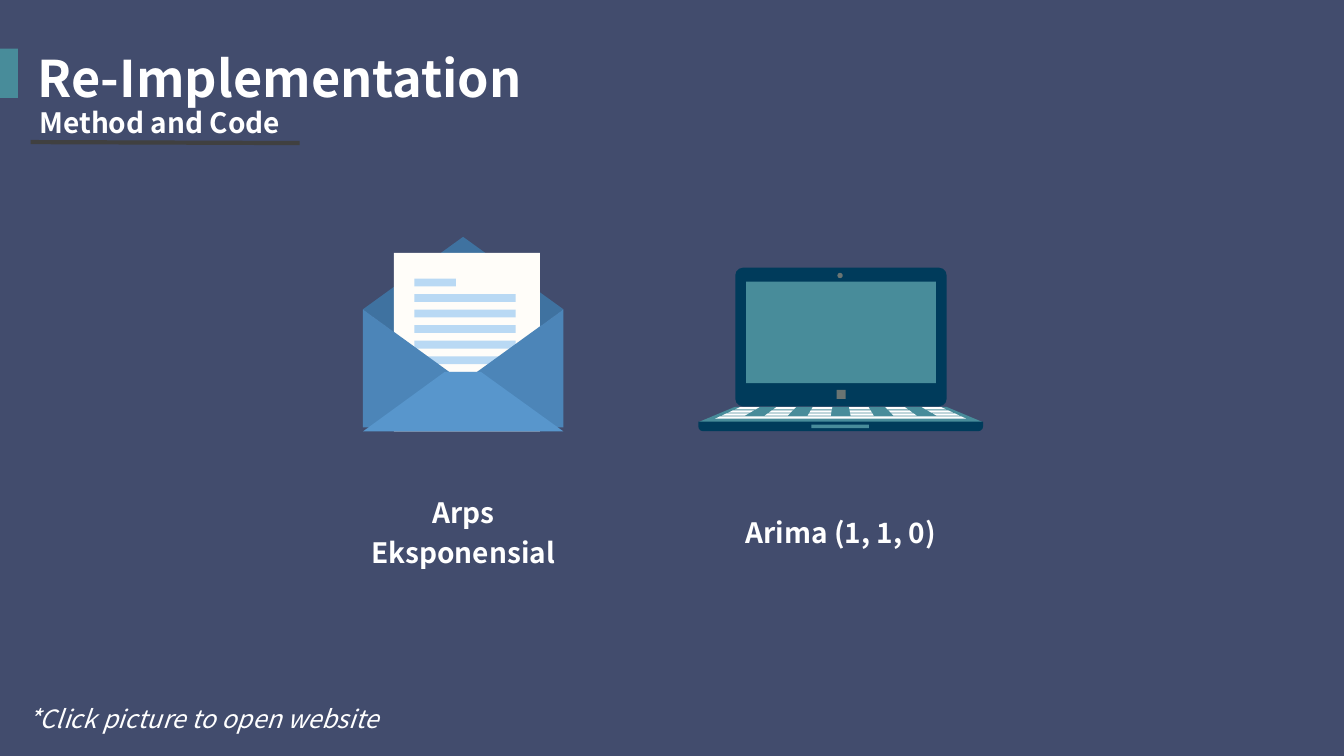
"""Builds the Re-Implementation slide with an envelope and a laptop."""
from lxml import etree
from pptx import Presentation
from pptx import util as u
from pptx.dml.color import RGBColor
from pptx.enum import shapes, text
from pptx.oxml.ns import qn

FONT = "Noto Sans CJK SC"
WHITE, TEAL, NAVY, GREY = "FFFFFF", "488C9A", "003B5B", "6A7472"
RECT = shapes.MSO_SHAPE.RECTANGLE


def colour(value):
    """Return the colour for a hex string."""
    return RGBColor.from_string(value)


def paint(shape, fill):
    """Give a shape a flat fill without line or shadow."""
    shape.shadow.inherit = False
    shape.fill.solid()
    shape.fill.fore_color.rgb = colour(fill)
    shape.line.fill.background()
    return shape


def add_block(page, left, top, width, height, fill, kind=RECT):
    """Add a filled preset shape."""
    return paint(page.shapes.add_shape(
        kind, u.Pt(left), u.Pt(top), u.Pt(width), u.Pt(height)), fill)


def add_polygon(page, points, fill):
    """Add a filled closed outline through the points."""
    corners = [(u.Pt(x), u.Pt(y)) for x, y in points]
    builder = page.shapes.build_freeform(*corners[0], scale=1.0)
    builder.add_line_segments(corners[1:], close=True)
    return paint(builder.convert_to_shape(), fill)


def add_text_box(page, left, top, width, height):
    """Add an empty text box."""
    return page.shapes.add_textbox(
        u.Pt(left), u.Pt(top), u.Pt(width), u.Pt(height))


def write(box, words, size, bold=True, italic=False, spacing=1.28,
          align=text.PP_ALIGN.LEFT, inset=None):
    """Write one white paragraph into a box."""
    frame = box.text_frame
    frame.word_wrap = True
    frame.auto_size = text.MSO_AUTO_SIZE.NONE
    frame.vertical_anchor = text.MSO_ANCHOR.TOP
    if inset is not None:
        frame.margin_left = frame.margin_right = u.Pt(inset)
        frame.margin_top = frame.margin_bottom = u.Pt(inset)
    para = frame.paragraphs[0]
    para.alignment = align
    para.line_spacing = u.Pt(size * spacing)
    para.space_before = u.Pt(0)
    span = para.add_run()
    span.text = words
    span.font.name = FONT
    span.font.size = u.Pt(size)
    span.font.bold = bold
    span.font.italic = italic
    span.font.color.rgb = colour(WHITE)


def add_caption(page, words, left, top, width, height):
    """Add a centred caption below an icon."""
    write(add_text_box(page, left, top, width, height), words, 20,
          spacing=1.45, align=text.PP_ALIGN.CENTER, inset=0)


def add_rule(page, x1, y1, x2, y2, line, width):
    """Add a plain straight line."""
    rule = page.shapes.add_connector(
        shapes.MSO_CONNECTOR.STRAIGHT, u.Pt(x1), u.Pt(y1), u.Pt(x2), u.Pt(y2))
    rule.line.color.rgb = colour(line)
    rule.line.width = u.Pt(width)
    etree.SubElement(rule._element.spPr, qn("a:effectLst"))


def draw_envelope(page):
    """Draw an open envelope holding a letter."""
    left, middle, right = 259.2, 330.8, 402.5
    shoulder, fold, bottom = 221, 272.9, 308.2
    add_polygon(page, [(right, shoulder), (middle, fold), (left, shoulder),
                       (middle, 169.2)], "3F72A0")
    add_block(page, 281.4, 180.7, 104.3, 127.5, "FFFDF9")
    for row in range(7):
        add_block(page, 296, 199 + 11.1 * row, 72.4 if row else 29.7, 5.6,
                  "B9D9F4")
    add_polygon(page, [(left, 305.3), (right, 305.3), (right, shoulder),
                       (middle, fold), (left, shoulder)], "4C85B8")
    add_polygon(page, [(left, bottom), (right, bottom), (343.6, 265.7),
                       (317.6, 265.7)], "5896CC")


def draw_key(page, start, end, top):
    """Draw one key in perspective; start and end are offsets at the hinge."""
    centre, hinge, height = 600.5, 290.9, 1.6
    bottom = top + height
    upper, lower = (1 + 0.03 * (y - hinge) for y in (top, bottom))
    add_polygon(page, [(centre + start * upper, top),
                       (centre + end * upper, top),
                       (centre + end * lower, bottom),
                       (centre + start * lower, bottom)], WHITE)


def draw_laptop(page):
    """Draw an open laptop with its keyboard."""
    lid = add_block(page, 525.2, 191.2, 151, 99, NAVY,
                    shapes.MSO_SHAPE.ROUNDED_RECTANGLE)
    lid.adjustments[0] = 0.055
    add_block(page, 533, 201.1, 135.5, 72.6, TEAL)
    add_block(page, 598.2, 194.9, 3.8, 3.8, GREY, shapes.MSO_SHAPE.OVAL)
    add_block(page, 597.6, 278.5, 6.4, 6.4, GREY)
    add_polygon(page, [(525, 290.6), (676, 290.6), (702.2, 301.6),
                       (498.8, 301.6)], TEAL)
    base = add_block(page, 498.8, 301.2, 203.4, 6.8, NAVY,
                     shapes.MSO_SHAPE.ROUND_2_SAME_RECTANGLE)
    base.adjustments[0] = 0
    base.adjustments[1] = 0.5
    add_block(page, 579.5, 303.3, 41.2, 2.6, TEAL)
    for row in range(3):
        for column in range(6):
            start = 26 * column - 72
            draw_key(page, start, start + 14, 290.9 + 2.2 * row)
    draw_key(page, -72, 72, 297.5)


def main():
    """Build and save the slide."""
    deck = Presentation()
    deck.slide_width, deck.slide_height = u.Pt(960), u.Pt(540)
    page = deck.slides.add_slide(deck.slide_layouts[5])
    page.background.fill.solid()
    page.background.fill.fore_color.rgb = colour("424C6D")

    add_block(page, 0, 34.8, 12.8, 35.2, TEAL)
    title = page.shapes.title
    title.left, title.top = u.Pt(19.5), u.Pt(27.4)
    title.width, title.height = u.Pt(399), u.Pt(51)
    write(title, "Re-Implementation", 36)
    write(add_text_box(page, 13, 497.5, 399, 29),
          "*Click picture to open website", 18, bold=False, italic=True)

    add_caption(page, "Arps Eksponensial", 259.2, 348.8, 143.3, 58)
    add_caption(page, "Arima (1, 1, 0)", 499, 363.2, 203, 29)
    draw_envelope(page)
    draw_laptop(page)

    write(add_text_box(page, 21, 70.5, 447, 32), "Method and Code", 20)
    add_rule(page, 21.8, 101.5, 214, 102.2, "404040", 3)
    deck.save("out.pptx")


if __name__ == "__main__":
    main()
